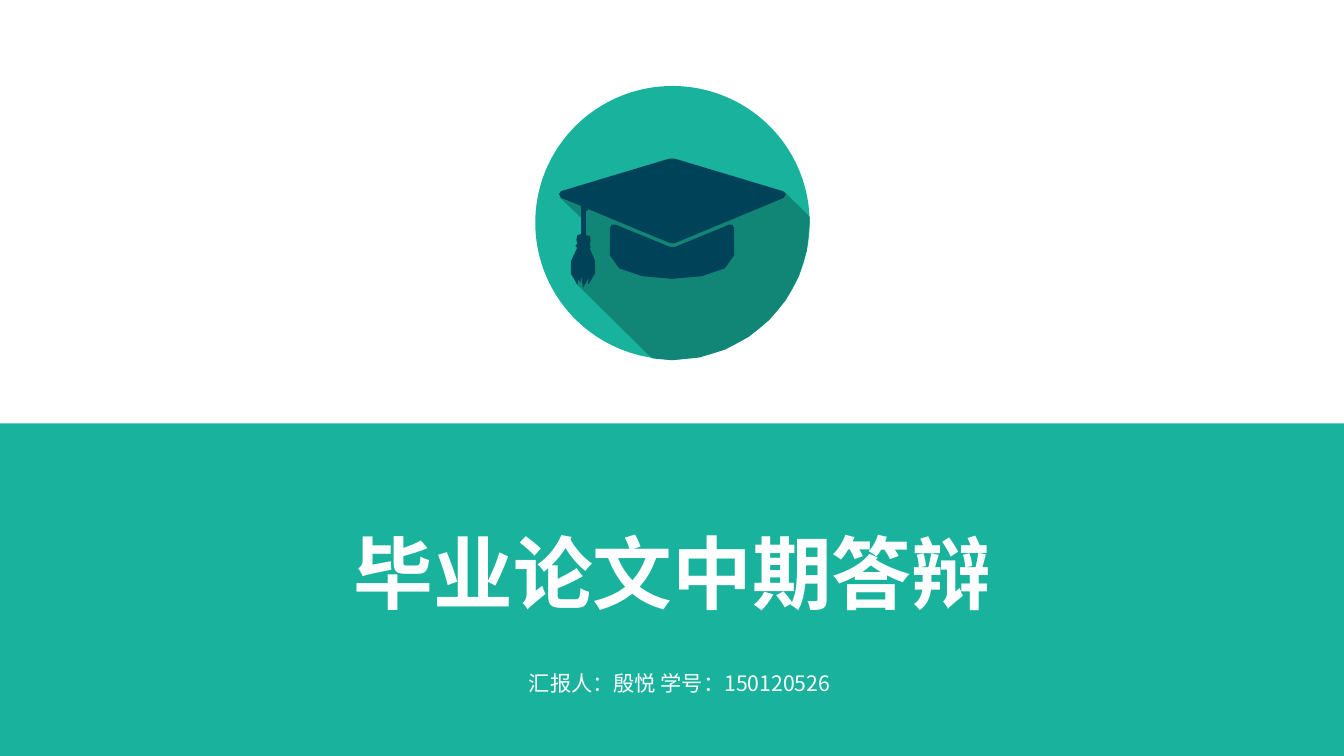
import math
import pptx
import pptx.util
import pptx.dml.color
import pptx.enum.shapes
import pptx.enum.text

Inches = pptx.util.Inches
RGBColor = pptx.dml.color.RGBColor
TEAL = RGBColor(0x18, 0xB2, 0x9D)
SHADE = RGBColor(0x12, 0x86, 0x76)
NAVY = RGBColor(0x00, 0x43, 0x58)
WHITE = RGBColor(0xFF, 0xFF, 0xFF)

SHADOW = [
    (8.47, 2.33), (8.47, 3.13, 7.82, 3.77, 7.03, 3.77), (6.82, 3.75),
    (6.03, 2.97), (6.02, 2.9), (6.09, 2.66), (6.02, 2.58), (6.09, 2.55),
    (6.1, 2.3), (5.85, 2.06), (8.21, 2.01), (8.47, 2.27),
]
BAND = [
    (6.38, 2.39), (6.38, 2.67), (6.38, 3, 7.68, 3, 7.68, 2.67), (7.68, 2.39),
    (7.68, 2.36, 7.65, 2.33, 7.63, 2.35), (7.07, 2.58),
    (7.05, 2.59, 7.02, 2.59, 7, 2.58), (6.44, 2.35),
    (6.41, 2.33, 6.38, 2.36, 6.38, 2.39),
]
BOARD = [
    (6.13, 2.21), (6.13, 2.46), (6.17, 2.47), (6.18, 2.51), (6.17, 2.56),
    (6.18, 2.58), (6.17, 2.6), (6.24, 2.71, 6.27, 2.88, 6.16, 2.97),
    (6.15, 2.97), (6.16, 2.91), (6.14, 2.94), (6.1, 3.01), (6.08, 2.89),
    (6.07, 2.96), (6.05, 2.92), (6.04, 2.98),
    (5.94, 2.88, 5.94, 2.73, 6.04, 2.59), (6.02, 2.57), (6.04, 2.55),
    (6.03, 2.51), (6.04, 2.46), (6.08, 2.45), (6.08, 2.17), (6.07, 2.15),
    (5.87, 2.07), (5.84, 2.05, 5.84, 2.01, 5.87, 2), (7, 1.66),
    (7.06, 1.66), (8.19, 2), (8.23, 2.01, 8.23, 2.05, 8.2, 2.07),
    (7.07, 2.54), (7.05, 2.55, 7.02, 2.55, 7, 2.54), (6.16, 2.19),
]


def trace(outline):
    points = [outline[0]]
    for part in outline[1:]:
        if len(part) == 2:
            points.append(part)
            continue
        nodes = (points[-1], part[:2], part[2:4], part[4:])
        steps = 2 + round(3 * math.dist(nodes[0], nodes[3]))
        for step in range(1, steps + 1):
            t = step / steps
            s = 1 - t
            parts = (s**3, 3 * s * s * t, 3 * s * t * t, t**3)
            points.append(tuple(sum(w * n[axis] for w, n in zip(parts, nodes))
                                for axis in (0, 1)))
    return [(Inches(x), Inches(y)) for x, y in points]


def paint(shape, color):
    shape.shadow.inherit = False
    shape.fill.solid()
    shape.fill.fore_color.rgb = color
    shape.line.fill.background()


deck = pptx.Presentation()
deck.slide_width = Inches(14.06)
deck.slide_height = Inches(7.91)
slide = deck.slides.add_slide(deck.slide_layouts[6])
kinds = pptx.enum.shapes.MSO_SHAPE

panel = slide.shapes.add_shape(
    kinds.RECTANGLE, 0, Inches(4.43), Inches(14.06), Inches(3.48))
paint(panel, TEAL)

badge = slide.shapes.add_group_shape()
disc = badge.shapes.add_shape(
    kinds.OVAL, Inches(5.6), Inches(0.9), Inches(2.87), Inches(2.86))
paint(disc, TEAL)

for outlines, color in (([SHADOW], SHADE), ([BAND, BOARD], NAVY)):
    first, *others = [trace(outline) for outline in outlines]
    pen = badge.shapes.build_freeform(*first[0])
    pen.add_line_segments(first[1:], close=True)
    for points in others:
        pen.move_to(*points[0])
        pen.add_line_segments(points[1:], close=True)
    paint(pen.convert_to_shape(), color)

for text, left, top, width, height, size, font, bold in (
    ("汇报人：殷悦 学号：150120526", 4.91, 7.01, 4.4, 0.27, 16, "Noto Sans CJK SC", False),
    ("毕业论文中期答辩", 2.59, 5.48, 8.89, 1.01, 60, "Arial", True),
):
    box = slide.shapes.add_textbox(
        Inches(left), Inches(top), Inches(width), Inches(height))
    frame = box.text_frame
    frame.word_wrap = True
    frame.vertical_anchor = pptx.enum.text.MSO_ANCHOR.MIDDLE
    frame.margin_left = frame.margin_right = 0
    frame.margin_top = frame.margin_bottom = 0
    line = frame.paragraphs[0]
    line.text = text
    line.alignment = pptx.enum.text.PP_ALIGN.CENTER
    line.font.name = font
    line.font.size = pptx.util.Pt(size)
    line.font.bold = bold
    line.font.color.rgb = WHITE

deck.save("out.pptx")
